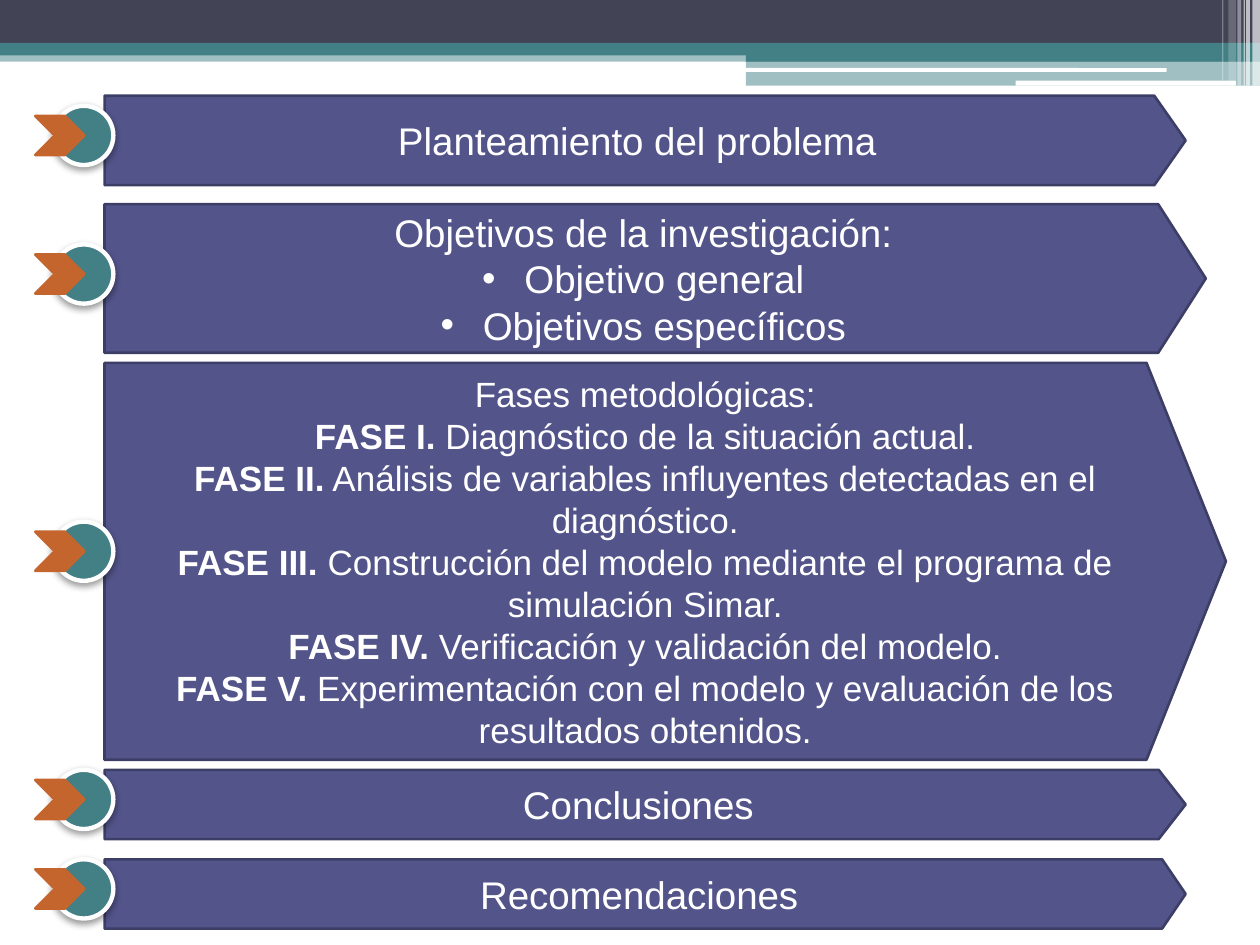
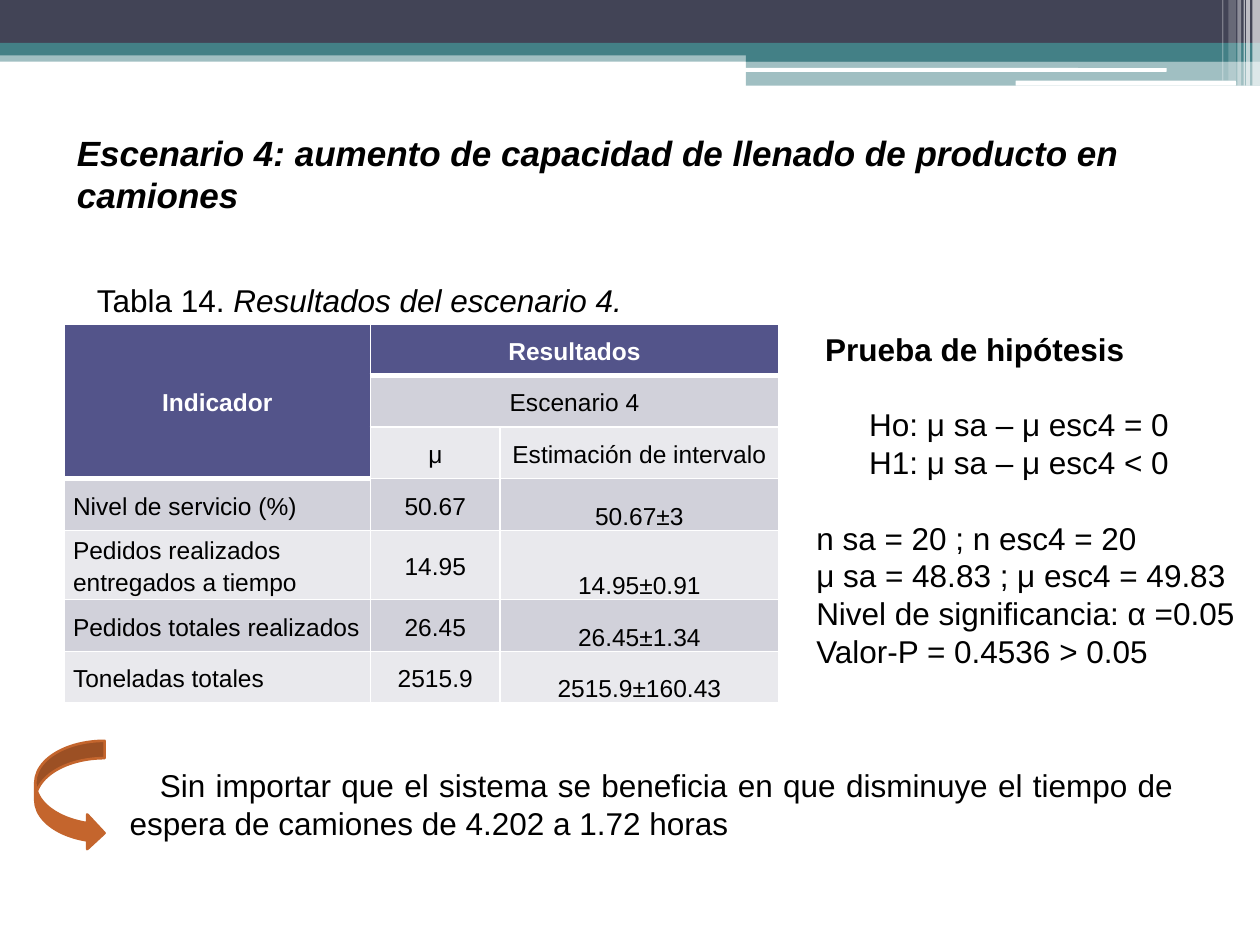
from lxml.etree import SubElement
from pptx import Presentation
from pptx.dml.color import RGBColor
from pptx.enum.shapes import MSO_SHAPE as SHAPE
from pptx.enum.text import MSO_ANCHOR as ANCHOR, MSO_AUTO_SIZE as AUTO_SIZE, PP_ALIGN as ALIGN
from pptx.oxml.ns import qn
from pptx.util import Inches, Pt

FONT = "Arial"
WHITE = RGBColor(0xFF, 0xFF, 0xFF)
BLACK = RGBColor(0x00, 0x00, 0x00)
SLATE = RGBColor(0x42, 0x44, 0x56)
TEAL = RGBColor(0x43, 0x80, 0x86)
INDIGO = RGBColor(0x53, 0x54, 0x8A)
DARK_INDIGO = RGBColor(0x3D, 0x3E, 0x66)
ORANGE = RGBColor(0xC4, 0x65, 0x2D)
ROW_DARK = RGBColor(0xD1, 0xD1, 0xDA)
ROW_LIGHT = RGBColor(0xE9, 0xE9, 0xED)

# left, top, width, height, colour, opacity in percent
HEADER_BANDS = [
    (0, 0.4, 10, 0.09, TEAL, 50),
    (0, 0, 10, 0.34, SLATE, 100),
    (0, 0.34, 10, 0.1, TEAL, 100),
    (5.92, 0.39, 4.08, 0.1, TEAL, 100),
    (5.92, 0.48, 4.08, 0.2, TEAL, 50),
    (5.91, 0.54, 3.35, 0.03, WHITE, 100),
    (8.06, 0.64, 1.75, 0.04, WHITE, 100),
    (9.94, 0, 0.06, 0.68, WHITE, 65),
    (9.89, 0, 0.03, 0.68, WHITE, 65),
    (9.87, 0, 0.01, 0.68, WHITE, 60),
    (9.82, 0, 0.03, 0.68, WHITE, 40),
    (9.75, 0, 0.06, 0.64, WHITE, 20),
    (9.7, 0, 0.01, 0.64, WHITE, 30),
]

PHASES = [
    ("FASE I.", " Diagnóstico de la situación actual."),
    ("FASE II.", " Análisis de variables influyentes detectadas en el diagnóstico."),
    ("FASE III.", " Construcción del modelo mediante el programa de simulación Simar."),
    ("FASE IV.", " Verificación y validación del modelo."),
    ("FASE V.", " Experimentación con el modelo y evaluación de los resultados obtenidos."),
]

# indicator, mean, interval estimate
RESULTS = [
    ("Nivel de servicio (%)", "50.67", "50.67±3"),
    ("Pedidos realizados entregados a tiempo", "14.95", "14.95±0.91"),
    ("Pedidos totales realizados", "26.45", "26.45±1.34"),
    ("Toneladas totales", "2515.9", "2515.9±160.43"),
]

# text, bold, left indent in inches, space before in points
HYPOTHESIS_TEST = [
    ("Prueba de hipótesis", True, 0.07, 0),
    ("Ho: μ sa – μ esc4 = 0", False, 0.42, 21.5),
    ("H1: μ sa – μ esc4 < 0", False, 0.42, 0),
    ("n sa = 20 ; n esc4 = 20", False, 0, 21.5),
    ("μ sa = 48.83 ; μ esc4 = 49.83", False, 0, 0),
    ("Nivel de significancia: α =0.05", False, 0, 0),
    ("Valor-P = 0.4536 > 0.05", False, 0, 0),
]


def add_run(paragraph, text, size, color=BLACK, bold=False, italic=False):
    run = paragraph.add_run()
    run.text = text
    font = run.font
    font.name, font.size, font.bold, font.italic = FONT, Pt(size), bold, italic
    font.color.rgb = color


def next_paragraph(frame):
    """Return the first paragraph while it is empty, then new ones."""
    first = frame.paragraphs[0]
    return frame.add_paragraph() if first.runs else first


def indent(paragraph, left, first_line=0):
    properties = paragraph._p.get_or_add_pPr()
    properties.set("marL", str(Inches(left)))
    properties.set("indent", str(Inches(first_line)))
    return properties


def add_bullet(paragraph):
    properties = indent(paragraph, 0.25, -0.25)
    SubElement(properties, qn("a:buFont"), typeface=FONT)
    SubElement(properties, qn("a:buChar"), char="•")


def add_filled(slide, kind, box, fill, line=None, line_width=1.5):
    shape = slide.shapes.add_shape(kind, *map(Inches, box))
    shape.shadow.inherit = False
    shape.fill.solid()
    shape.fill.fore_color.rgb = fill
    if line is None:
        shape.line.fill.background()
    else:
        shape.line.color.rgb = line
        shape.line.width = Pt(line_width)
    return shape


def add_text_box(slide, box):
    frame = slide.shapes.add_textbox(*map(Inches, box)).text_frame
    frame.word_wrap = True
    return frame


def move_header_to_master(prs, slide):
    """Draw the header bands on the slide and hand them to the master."""
    master_tree = prs.slide_master.shapes.element
    for number, (*box, color, opacity) in enumerate(HEADER_BANDS, start=100):
        kind = SHAPE.ROUNDED_RECTANGLE if box[3] in (0.03, 0.04) and color == WHITE else SHAPE.RECTANGLE
        band = add_filled(slide, kind, box, color)
        if opacity < 100:
            rgb = band.element.spPr.find(qn("a:solidFill"))[0]
            SubElement(rgb, qn("a:alpha"), val=str(opacity * 1000))
        band.element.nvSpPr.cNvPr.set("id", str(number))
        master_tree.append(band.element)


def add_soft_shadow(shape):
    effects = shape.element.spPr.find(qn("a:effectLst"))
    shadow = SubElement(effects, qn("a:outerShdw"), blurRad=str(Pt(4.1)), dist=str(Pt(2)),
                        dir="5400000", rotWithShape="0")
    black = SubElement(shadow, qn("a:srgbClr"), val="000000")
    SubElement(black, qn("a:alpha"), val="40000")


def add_topic(slide, top, width, height, point, marker_top):
    """Add an agenda arrow with its round marker; return its text frame."""
    arrow = add_filled(slide, SHAPE.PENTAGON, (0.83, top, width, height), INDIGO, DARK_INDIGO)
    arrow.adjustments[0] = point
    marker = add_filled(slide, SHAPE.FLOWCHART_CONNECTOR, (0.43, marker_top, 0.47, 0.47),
                        TEAL, WHITE, 2.5)
    add_soft_shadow(marker)
    add_filled(slide, SHAPE.CHEVRON, (0.28, marker_top + 0.08, 0.39, 0.31), ORANGE, ORANGE)
    frame = arrow.text_frame
    frame.word_wrap = True
    frame.vertical_anchor = ANCHOR.MIDDLE
    return frame


def add_topic_line(frame, text, size=22):
    paragraph = next_paragraph(frame)
    paragraph.alignment = ALIGN.CENTER
    add_run(paragraph, text, size, WHITE)
    return paragraph


def build_agenda(slide):
    problem = add_topic(slide, 0.76, 8.58, 0.71, 0.35, 0.84)
    add_topic_line(problem, "Planteamiento del problema")

    objectives = add_topic(slide, 1.62, 8.74, 1.18, 0.32, 1.94)
    add_topic_line(objectives, "Objetivos de la investigación:")
    for objective in (" Objetivo general", " Objetivos específicos"):
        add_bullet(add_topic_line(objectives, objective))

    phases = add_topic(slide, 2.88, 8.9, 3.15, 0.2, 4.14)
    add_topic_line(phases, "Fases metodológicas:", 20)
    for name, description in PHASES:
        phase = next_paragraph(phases)
        phase.alignment = ALIGN.CENTER
        add_run(phase, name, 20, WHITE, bold=True)
        add_run(phase, description, 20, WHITE)

    conclusions = add_topic(slide, 6.11, 8.58, 0.55, 0.39, 6.11)
    add_topic_line(conclusions, "Conclusiones")
    recommendations = add_topic(slide, 6.82, 8.58, 0.55, 0.34, 6.82)
    add_topic_line(recommendations, "Recomendaciones")


def set_borders(cell, bottom):
    properties = cell._tc.get_or_add_tcPr()
    for side, width in (("L", 1), ("R", 1), ("T", 1), ("B", bottom)):
        border = SubElement(properties, qn(f"a:ln{side}"), w=str(Pt(width)))
        fill = SubElement(border, qn("a:solidFill"))
        SubElement(fill, qn("a:srgbClr"), val=str(WHITE))


def fill_cell(cell, text, row, column):
    heading = row == 0 or (row < 3 and column == 0)
    set_borders(cell, bottom=3 if heading else 1)
    cell.fill.solid()
    cell.fill.fore_color.rgb = INDIGO if heading else ROW_DARK if row % 2 else ROW_LIGHT
    cell.margin_left = cell.margin_right = Inches(0.07)
    cell.margin_top = cell.margin_bottom = 0
    cell.vertical_anchor = ANCHOR.BOTTOM if row > 2 and column == 2 else ANCHOR.MIDDLE
    paragraph = cell.text_frame.paragraphs[0]
    paragraph.line_spacing = 1.15
    paragraph.alignment = ALIGN.LEFT if row > 2 and column == 0 else ALIGN.CENTER
    if text:
        add_run(paragraph, text, 14, WHITE if heading else BLACK, bold=heading)


def add_results_table(slide):
    rows = [
        ("Indicador", "Resultados", ""),
        ("", "Escenario 4", ""),
        ("", "μ", "Estimación de intervalo"),
        *RESULTS,
    ]
    table = slide.shapes.add_table(len(rows), 3, Inches(0.51), Inches(2.57),
                                   Inches(5.67), Inches(3.02)).table
    for column, width in zip(table.columns, (2.43, 1.03, 2.21)):
        column.width = Inches(width)
    for r, texts in enumerate(rows):
        table.rows[r].height = Inches(0.55 if r == 4 else 0.41)
        for c, text in enumerate(texts):
            fill_cell(table.cell(r, c), text, r, c)
    table.cell(0, 0).merge(table.cell(2, 0))
    for r in (0, 1):
        table.cell(r, 1).merge(table.cell(r, 2))


def set_title(slide, text):
    title = slide.shapes.title
    title.left, title.top, title.width, title.height = map(Inches, (0.51, 0.99, 9.13, 1.11))
    frame = title.text_frame
    frame.auto_size = AUTO_SIZE.NONE
    frame.vertical_anchor = ANCHOR.TOP
    paragraph = frame.paragraphs[0]
    paragraph.alignment = ALIGN.LEFT
    add_run(paragraph, text, 20, bold=True, italic=True)


def build_scenario(slide):
    set_title(slide, "Escenario 4: aumento de capacidad de llenado de producto en camiones")
    add_results_table(slide)

    test = add_text_box(slide, (6.38, 2.57, 4.49, 3.13))
    for text, bold, left, space_before in HYPOTHESIS_TEST:
        statement = next_paragraph(test)
        indent(statement, left)
        statement.space_before = Pt(space_before)
        add_run(statement, text, 18, bold=bold)

    caption = add_text_box(slide, (0.67, 2.18, 5.51, 0.71)).paragraphs[0]
    add_run(caption, "Tabla 14. ", 18)
    add_run(caption, "Resultados del escenario 4.", 18, italic=True)

    finding = add_text_box(slide, (0.81, 6.03, 8.6, 0.71)).paragraphs[0]
    finding.alignment = ALIGN.JUSTIFY
    finding.space_before = Pt(3)
    indent(finding, 0.12, 0.24)
    add_run(finding, "Sin importar que el sistema se beneficia en que disminuye el tiempo "
                     "de espera de camiones de 4.202 a 1.72 horas", 18)
    add_filled(slide, SHAPE.CURVED_RIGHT_ARROW, (0.28, 5.88, 0.55, 0.87), ORANGE, ORANGE)


def main():
    prs = Presentation()
    prs.slide_width, prs.slide_height = Inches(10), Inches(7.5)
    title_only, blank = prs.slide_layouts[5], prs.slide_layouts[6]
    agenda = prs.slides.add_slide(blank)
    move_header_to_master(prs, agenda)
    build_agenda(agenda)
    build_scenario(prs.slides.add_slide(title_only))
    prs.save("out.pptx")


if __name__ == "__main__":
    main()
